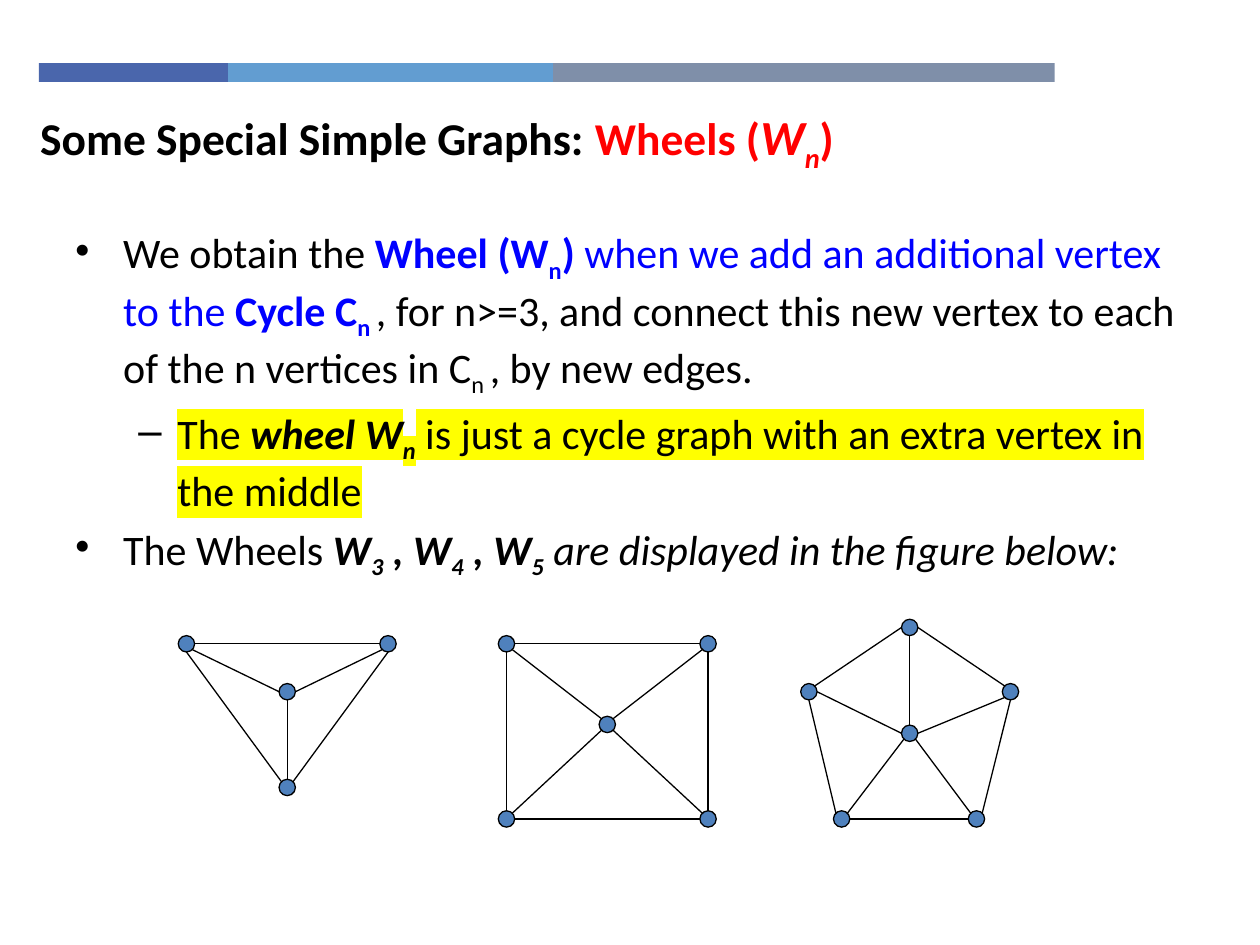
import pptx
import pptx.util
import pptx.dml.color
import pptx.enum.shapes
import pptx.enum.text
import pptx.oxml.ns
from dataclasses import dataclass
from lxml import etree

Inches, Pt = pptx.util.Inches, pptx.util.Pt
qn = pptx.oxml.ns.qn
SHAPE = pptx.enum.shapes.MSO_SHAPE


@dataclass(frozen=True)
class Theme:
    font: str = "Calibri"
    black: str = "000000"
    red: str = "FF0000"
    blue: str = "0000FF"
    yellow: str = "FFFF00"
    vertex: str = "4F81BD"
    bars: tuple = ("4A66AC", "629DD1", "7F8FA9")
    title: float = 26
    symbol: float = 28
    body: float = 24
    line: float = 0.75
    diameter: float = 0.13


def rgb(value):
    return pptx.dml.color.RGBColor.from_string(value)


class SlideBuilder:
    def __init__(self, slide, theme):
        self.s = slide
        self.theme = theme

    def shape(self, kind, x, y, w, h, fill, line=None):
        sp = self.s.shapes.add_shape(kind, Inches(x), Inches(y), Inches(w), Inches(h))
        sp.shadow.inherit = False
        sp.fill.solid()
        sp.fill.fore_color.rgb = rgb(fill)
        if line:
            sp.line.color.rgb = rgb(line)
            sp.line.width = Pt(self.theme.line)
        else:
            sp.line.fill.background()
        return sp

    def vertex(self, center):
        d = self.theme.diameter
        x, y = center
        self.shape(SHAPE.OVAL, x - d / 2, y - d / 2, d, d, self.theme.vertex, self.theme.black)

    def edge(self, start, end):
        points = [Inches(v) for v in (*start, *end)]
        cx = self.s.shapes.add_connector(pptx.enum.shapes.MSO_CONNECTOR.STRAIGHT, *points)
        cx.line.color.rgb = rgb(self.theme.black)
        cx.line.width = Pt(self.theme.line)
        etree.SubElement(cx._element.spPr, qn("a:effectLst"))

    def rim_point(self, center, side):
        r = self.theme.diameter / 2
        dx = ("r" in side) - ("l" in side)
        dy = ("b" in side) - ("t" in side)
        reach = r * 0.7 if dx and dy else r
        return center[0] + dx * reach, center[1] + dy * reach

    def wheel(self, vertices, edges):
        for edge in edges.split(", "):
            a, a_side, b, b_side = edge.split()
            self.edge(self.rim_point(vertices[a], a_side), self.rim_point(vertices[b], b_side))
        for center in vertices.values():
            self.vertex(center)

    def text_box(self, x, y, w, h):
        tf = self.s.shapes.add_textbox(Inches(x), Inches(y), Inches(w), Inches(h)).text_frame
        tf.word_wrap = True
        tf.vertical_anchor = pptx.enum.text.MSO_ANCHOR.TOP
        return tf

    def run(self, p, text, size, color=None, style="", highlight=None):
        r = p.add_run()
        r.text = text
        r.font.name = self.theme.font
        r.font.size = Pt(size)
        r.font.bold = "b" in style
        r.font.italic = "i" in style
        r.font.color.rgb = rgb(color or self.theme.black)
        rPr = r._r.get_or_add_rPr()
        if "_" in style:
            rPr.set("baseline", "-25000")
        if highlight:
            mark = etree.Element(qn("a:highlight"))
            etree.SubElement(mark, qn("a:srgbClr")).set("val", highlight)
            rPr.find(qn("a:solidFill")).addnext(mark)

    def bullet(self, p, char, margin, hanging, level=0):
        p.level = level
        pPr = p._p.get_or_add_pPr()
        pPr.set("marL", str(Inches(margin)))
        pPr.set("indent", str(-Inches(hanging)))
        etree.SubElement(pPr, qn("a:buChar")).set("char", char)


def main():
    prs = pptx.Presentation()
    prs.slide_width, prs.slide_height = Inches(10), Inches(7.5)
    t = Theme()
    b = SlideBuilder(prs.slides.add_slide(prs.slide_layouts[6]), t)

    x = 0.31
    for width, color in zip((1.5, 2.58, 3.98), t.bars):
        b.shape(SHAPE.RECTANGLE, x, 0.5, width, 0.15, color)
        x += width

    p = b.text_box(0.22, 0.8, 7.16, 0.54).paragraphs[0]
    for text, size, color, style in (
        ("Some Special Simple Graphs: ", t.title, t.black, "b"),
        ("Wheels (", t.title, t.red, "b"),
        ("W", t.symbol, t.red, "bi"),
        ("n", t.symbol, t.red, "bi_"),
        (")", t.title, t.red, "b"),
    ):
        b.run(p, text, size, color, style)

    paragraphs = (
        (0, None, (
            ("We obtain the ", t.black, ""), ("Wheel (W", t.blue, "b"),
            ("n", t.blue, "b_"), (") ", t.blue, "b"),
            ("when we add an additional vertex to the ", t.blue, ""),
            ("Cycle C", t.blue, "b"), ("n ", t.blue, "b_"),
            (", for n>=3, and connect this new vertex to each of the n vertices in C", t.black, ""),
            ("n ", t.black, "_"), (", by new edges.", t.black, ""))),
        (1, t.yellow, (
            ("The ", t.black, ""), ("wheel W", t.black, "bi"), ("n", t.black, "bi_"),
            (" is just a cycle graph with an extra vertex in the middle", t.black, ""))),
        (0, None, (
            ("The Wheels ", t.black, ""), ("W", t.black, "bi"), ("3", t.black, "bi_"),
            (" , W", t.black, "bi"), ("4", t.black, "bi_"), (" , W", t.black, "bi"),
            ("5", t.black, "bi_"), (" are displayed in the figure below:", t.black, "i"))),
    )
    bullets = (("•", 0.38, 0.38), ("–", 0.81, 0.31))
    tf = b.text_box(0.5, 1.75, 9, 5.16)
    for i, (level, highlight, runs) in enumerate(paragraphs):
        p = tf.add_paragraph() if i else tf.paragraphs[0]
        b.bullet(p, *bullets[level], level)
        if i:
            p.space_before = Pt(t.body * 0.2)
        for text, color, style in runs:
            b.run(p, text, t.body, color, style, highlight)

    b.wheel(
        {"A": (1.48, 5.11), "B": (3.08, 5.11), "C": (2.28, 6.25), "hub": (2.28, 5.49)},
        "A r B l, A b C tl, C tr B b, hub l A br, hub b C t, hub r B bl")
    b.wheel(
        {"A": (4.02, 5.11), "B": (5.62, 5.11), "C": (4.02, 6.5), "D": (5.62, 6.5),
         "hub": (4.82, 5.75)},
        "A r B l, A b C t, C r D l, B b D t, "
        "hub tr B bl, hub br D tl, hub bl C tr, hub tl A br")
    b.wheel(
        {"A": (6.42, 5.49), "B": (7.22, 4.98), "C": (8.02, 5.49), "D": (7.75, 6.5),
         "E": (6.68, 6.5), "hub": (7.22, 5.82)},
        "A b E tl, E r D l, C b D tr, B l A tr, B r C tl, "
        "hub l A r, hub br D tl, hub bl E tr, C bl hub r, B b hub t")

    prs.save("out.pptx")


if __name__ == "__main__":
    main()
